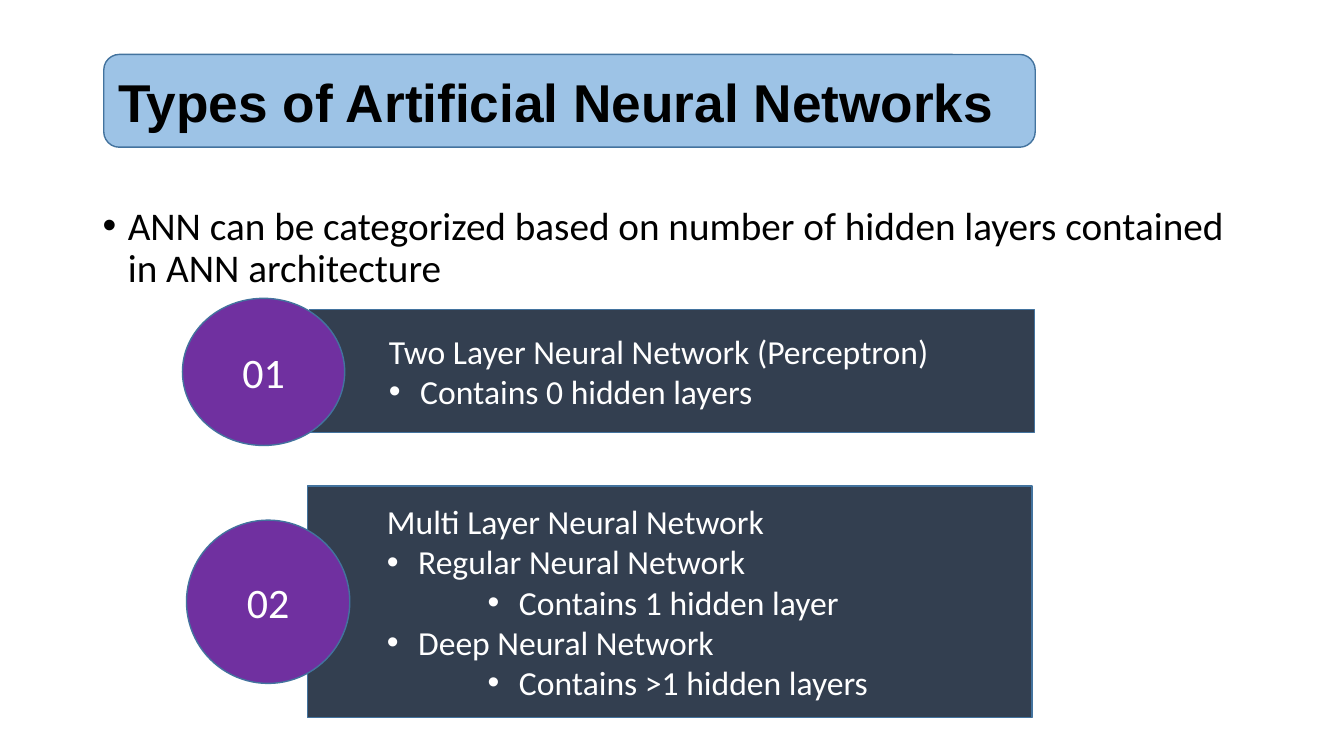
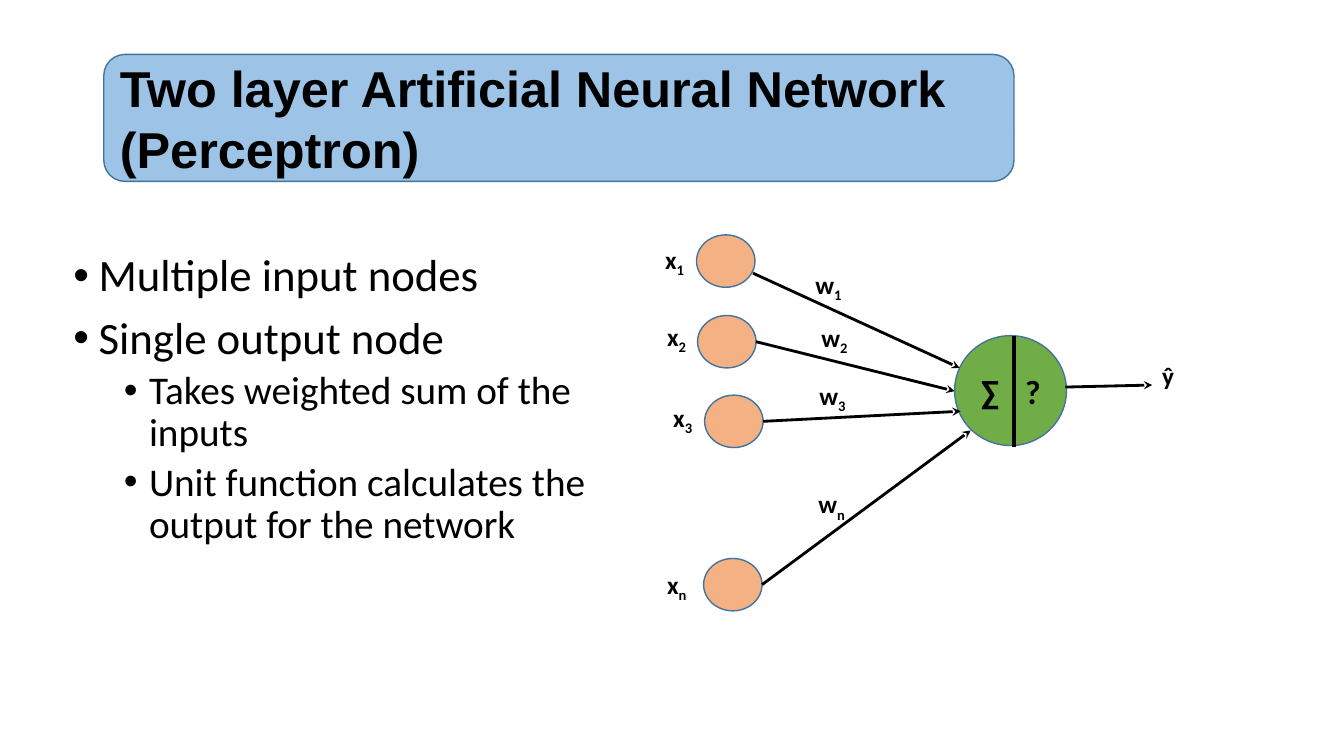
from lxml import etree
from pptx import Presentation
from pptx.dml.color import RGBColor
from pptx.enum import shapes as kinds, text as txt
from pptx.oxml import ns
from pptx.util import Inches, Pt

CELL = Inches(0.1)  # square grid cell: 133.3 columns by 75 rows
COLS, ROWS = 133.33, 75

BLACK = RGBColor(0x00, 0x00, 0x00)
WHITE = RGBColor(0xFF, 0xFF, 0xFF)
EDGE = RGBColor(0x43, 0x73, 0x9E)
BAND = RGBColor(0x9D, 0xC3, 0xE6)
SLATE = RGBColor(0x33, 0x3F, 0x50)
PURPLE = RGBColor(0x70, 0x30, 0xA0)
PEACH = RGBColor(0xF4, 0xB1, 0x83)
GREEN = RGBColor(0x70, 0xAD, 0x47)

OVAL = kinds.MSO_SHAPE.OVAL
LEFT, CENTER = txt.PP_ALIGN.LEFT, txt.PP_ALIGN.CENTER
MIDDLE = txt.MSO_ANCHOR.MIDDLE

BODY = dict(name="Calibri", color=BLACK)
HEAD = dict(name="Arial", color=BLACK, bold=True)
CARD = dict(name="Calibri", color=WHITE, size=24)
BADGE = dict(name="Calibri", color=WHITE, size=30)
LABEL = dict(name="Calibri", color=BLACK, bold=True, size=18)
UNIT = dict(LABEL, size=24)


def cells(*counts):
    return [round(count * CELL) for count in counts]


def style(font, form):
    for key, value in form.items():
        if key == "color":
            font.color.rgb = value
        else:
            setattr(font, key, Pt(value) if key == "size" else value)


def add(parent, tag, **attrs):
    node = etree.SubElement(parent, ns.qn(tag))
    for key, value in attrs.items():
        node.set(key, str(value))
    return node


def indent(para, left, hang, bullet=True):
    """Set a hanging indent, in cells, with an optional bullet."""
    props = para._p.get_or_add_pPr()
    props.set("marL", str(round(left * CELL)))
    props.set("indent", str(round(-hang * CELL)))
    if bullet:
        add(props, "a:buFont", typeface="Arial")
        add(props, "a:buChar", char="•")


def write(para, words, form, align=LEFT):
    para.alignment = align
    run = para.add_run()
    run.text = words
    style(run.font, form)
    return run


def paras(frame, count):
    """Yield the first paragraph of a frame, then new ones."""
    yield frame.paragraphs[0]
    for _ in range(count - 1):
        yield frame.add_paragraph()


def shape(tree, kind, box, fill):
    item = tree.add_shape(kind, *cells(*box))
    item.shadow.inherit = False
    item.fill.solid()
    item.fill.fore_color.rgb = fill
    item.line.color.rgb = EDGE
    item.line.width = Pt(1)
    item.text_frame.vertical_anchor = MIDDLE
    return item


def title(slide, words, width, height, size):
    box = (10.3, 5.4, width, height)
    band = shape(slide.shapes, kinds.MSO_SHAPE.ROUNDED_RECTANGLE, box, BAND)
    write(band.text_frame.paragraphs[0], words, dict(HEAD, size=size))


def body(slide, box, lines):
    """Bulleted text; each line is (level, size, words)."""
    frame = slide.shapes.add_textbox(*cells(*box)).text_frame
    frame.word_wrap = True
    for n, (para, line) in enumerate(zip(paras(frame, len(lines)), lines)):
        level, size, words = line
        para.level = level
        para.line_spacing = 0.9
        para.space_before = Pt((5 if level else 10) if n else 0)
        indent(para, 2.5 + 5 * level, 2.5)
        write(para, words, dict(BODY, size=size))


def card(slide, box, lines):
    """Panel with a plain heading; each line is (depth, words)."""
    panel = shape(slide.shapes, kinds.MSO_SHAPE.RECTANGLE, box, SLATE)
    frame = panel.text_frame
    for para, (depth, words) in zip(paras(frame, len(lines)), lines):
        indent(para, 20 if depth == 2 else 10, 3.1, bullet=depth > 0)
        write(para, words, CARD)


def badge(slide, box, words):
    disc = shape(slide.shapes, OVAL, box, PURPLE)
    write(disc.text_frame.paragraphs[0], words, BADGE, CENTER)


def label(tree, spot, words, sub="", width=5.2):
    frame = tree.add_textbox(*cells(*spot, width, 4)).text_frame
    frame.word_wrap = True
    para = frame.paragraphs[0]
    write(para, words, LABEL)
    if sub:
        run = write(para, sub, LABEL)
        run._r.get_or_add_rPr().set("baseline", "-25000")


def line(tree, start, end, width=2, arrow=True):
    link = tree.add_connector(kinds.MSO_CONNECTOR.STRAIGHT,
                              *cells(*start, *end))
    link.line.color.rgb = BLACK
    link.line.width = Pt(width)
    if arrow:
        add(link.line._get_or_add_ln(), "a:tailEnd", type="stealth")
    add(link._element.spPr, "a:effectLst")


def unit(tree):
    """Output node: sum on the left, activation on the right."""
    disc = shape(tree, OVAL, (94.7, 33.3, 11.1, 10.9), GREEN)
    disc.text_frame.margin_right = 0
    para = disc.text_frame.paragraphs[0]
    tabs = add(para._p.get_or_add_pPr(), "a:tabLst")
    add(tabs, "a:tab", pos=round(4.4 * CELL), algn="l")
    write(para, "∑\t?", UNIT)
    line(tree, (100.6, 33.3), (100.6, 44.3), 2.25, arrow=False)


def network(slide):
    tree = slide.shapes.add_group_shape().shapes
    unit(tree)
    # index, node, node label, weight label, arrow start, arrow end
    inputs = [
        ("1", (69.1, 23.3), (65, 23.7), (79.9, 26.2), (74.7, 27.1), (95.2, 36.5)),
        ("2", (69.2, 31.3), (65.2, 31.4), (80.5, 31.5), (75, 33.9), (94.7, 38.8)),
        ("3", (69.9, 39.2), (65.8, 39.4), (80.3, 37.2), (75.7, 41.8), (95.3, 40.8)),
        ("n", (69.8, 55.4), (65.2, 56), (80.2, 48), (75.6, 58), (96.3, 42.7)),
    ]
    for sub, node, name, weight, start, end in inputs:
        shape(tree, OVAL, (*node, 5.8, 5.2), PEACH)
        label(tree, name, "x", sub)
        line(tree, start, end)
        label(tree, weight, "w", sub, 5.4)
    line(tree, (105.7, 38.4), (114.3, 38.2))
    label(tree, (114.3, 35.3), "ŷ")


def types(slide):
    title(slide, "Types of Artificial Neural Networks", 92.4, 9.2, 38)
    body(slide, (9.2, 20, 115, 10.8), [
        (0, 28, "ANN can be categorized based on number of hidden layers "
                "contained in ANN architecture"),
    ])
    card(slide, (30.7, 30.7, 71.9, 12.2), [
        (0, "Two Layer Neural Network (Perceptron)"),
        (1, "Contains 0 hidden layers"),
    ])
    badge(slide, (18.1, 29.6, 16.1, 14.6), "01")
    card(slide, (30.5, 48.2, 71.9, 23), [
        (0, "Multi Layer Neural Network"),
        (1, "Regular Neural Network"),
        (2, "Contains 1 hidden layer"),
        (1, "Deep Neural Network"),
        (2, "Contains >1 hidden layers"),
    ])
    badge(slide, (18.5, 51.6, 16.2, 16.2), "02")


def neuron(slide):
    title(slide, "Two layer Artificial Neural Network (Perceptron)",
          90.3, 12.6, 36)
    body(slide, (6.3, 24.6, 57.2, 43.9), [
        (0, 32, "Multiple input nodes"),
        (0, 32, "Single output node"),
        (1, 28, "Takes weighted sum of the inputs"),
        (1, 28, "Unit function calculates the output for the network"),
    ])
    network(slide)


def main():
    deck = Presentation()
    deck.slide_width, deck.slide_height = cells(COLS, ROWS)
    for build in (types, neuron):
        build(deck.slides.add_slide(deck.slide_layouts[6]))
    deck.save("out.pptx")


if __name__ == "__main__":
    main()
